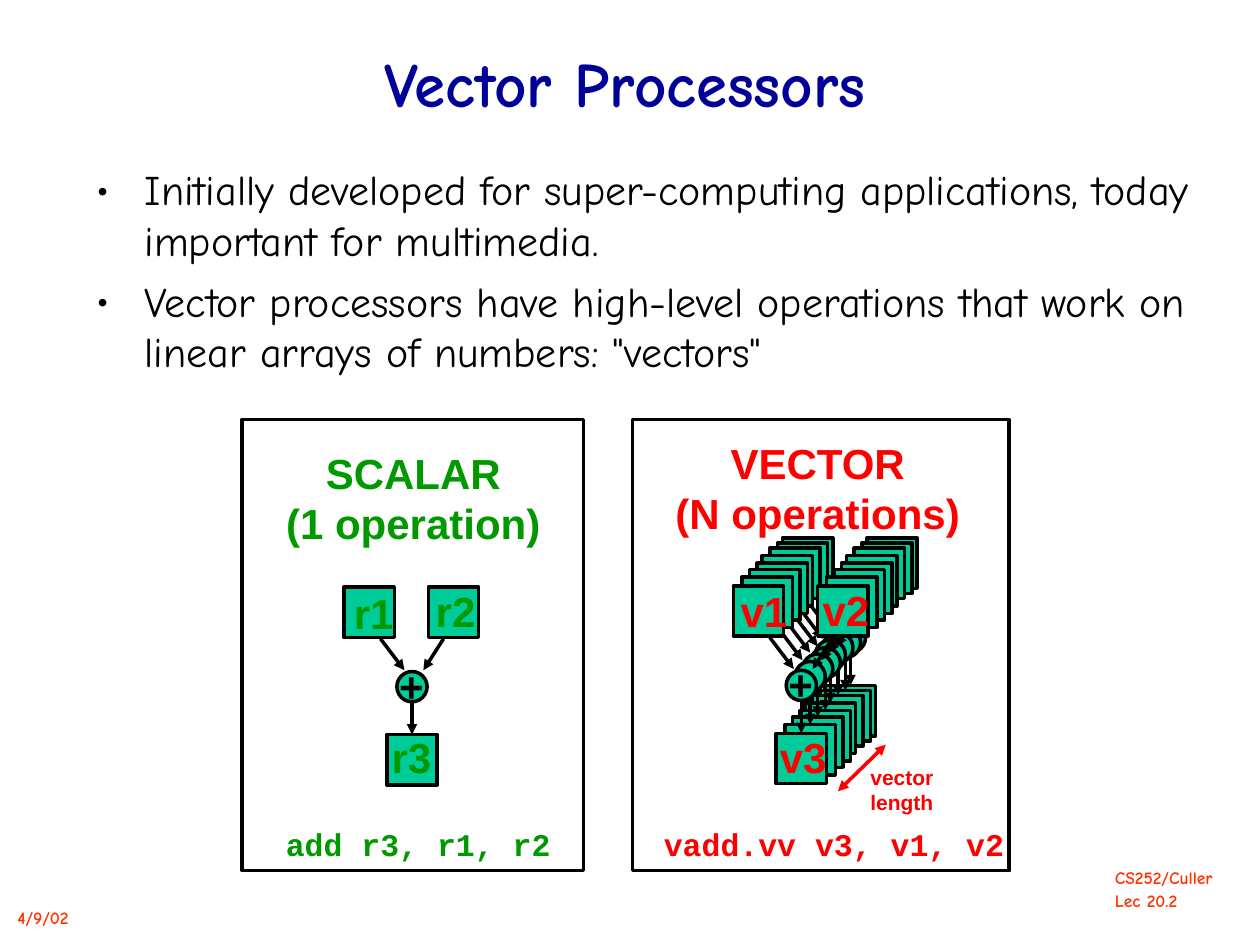
from dataclasses import dataclass, field
from typing import Any

from lxml import etree
from pptx import Presentation
from pptx import util as u
from pptx.dml.color import RGBColor
from pptx.enum import shapes, text
from pptx.oxml.ns import qn

PX = 9144
BLACK = RGBColor(0, 0, 0)
NAVY = RGBColor(0, 0, 0x99)
GREEN = RGBColor(0, 0x99, 0)
RED = RGBColor(0xFF, 0, 0)
RUST = RGBColor(0xFF, 0x33, 0)
TEAL = RGBColor(0, 0xCC, 0x99)
RECT = shapes.MSO_SHAPE.RECTANGLE
OVAL = shapes.MSO_SHAPE.OVAL
COMIC, SANS, CODE = "Comic Neue", "Arial", "Courier New"
STACK = ((39, 38), (35, 34), (29, 30), (23, 24), (19, 18), (13, 13), (7, 7), (0, 0))
CELLS = ((-42, -67), (25, -67), (-8, 50))
FEEDS = ((-13, -26, 6, -1), (37, -26, 21, -1))


@dataclass
class Label:
    box: tuple[int, int, int, int]
    lines: tuple[str, ...]
    color: RGBColor
    size: int = 24
    face: str = SANS
    bold: bool = True
    wrap: bool = False
    fit: bool = True
    base: bool = False
    bullet: bool = False
    para: dict[str, Any] = field(default_factory=dict)


@dataclass
class Panel:
    frame: tuple[int, int, int, int]
    hub: tuple[int, int]
    stack: tuple[tuple[int, int], ...]
    labels: tuple[Label, ...]


MID = {"alignment": text.PP_ALIGN.CENTER}
TEXTS = (
    Label((875, 683, 125, 44), ("CS252/Culler", "Lec 20.2"), RUST, 10, COMIC, wrap=True,
          para={"space_before": u.Pt(6.2), "line_spacing": 0.5}),
    Label((4, 715, 66, 27), ("4/9/02",), RUST, 10, COMIC),
    Label((67, 25, 858, 75), ("Vector Processors",), NAVY, 36, COMIC,
          wrap=True, fit=False, base=True, para=MID),
    Label((67, 125, 908, 558),
          ("Initially developed for super-computing applications, today important for multimedia.",
           'Vector processors have high-level operations that work on linear arrays of numbers: "vectors"'),
          BLACK, 24, COMIC, bold=False, wrap=True, fit=False, bullet=True,
          para={"space_before": u.Pt(6)}),
)
SCALAR = Panel((192, 333, 271, 358), (315, 533), ((0, 0),), (
    Label((307, 519, 40, 50), ("+",), BLACK),
    Label((271, 461, 54, 50), ("r1",), GREEN),
    Label((336, 460, 54, 50), ("r2",), GREEN),
    Label((301, 576, 54, 50), ("r3",), GREEN),
    Label((217, 650, 232, 40), ("add r3, r1, r2",), GREEN, 18, CODE),
    Label((217, 350, 222, 90), ("SCALAR", "(1 operation)"), GREEN, para=MID),
))
VECTOR = Panel((502, 333, 299, 358), (624, 532), STACK, (
    Label((578, 460, 58, 50), ("v1",), RED),
    Label((643, 459, 58, 50), ("v2",), RED),
    Label((609, 576, 58, 50), ("v3",), RED),
    Label((616, 518, 40, 50), ("+",), BLACK),
    Label((681, 602, 70, 50), ("vector", "length"), RED, 12, wrap=True),
    Label((517, 650, 292, 40), ("vadd.vv v3, v1, v2",), RED, 18, CODE),
    Label((526, 342, 246, 90), ("VECTOR", "(N operations)"), RED, para=MID),
))


def emu(*vals: int) -> list[int]:
    return [v * PX for v in vals]


def assign(obj: Any, vals: dict[str, Any]) -> None:
    for key, val in vals.items():
        setattr(obj, key, val)


def mark(par: Any, face: str) -> None:
    props = par._p.get_or_add_pPr()
    props.set("marL", str(38 * PX))
    props.set("indent", str(-38 * PX))
    tint = etree.SubElement(props, qn("a:buClr"))
    etree.SubElement(tint, qn("a:srgbClr"), val=str(BLACK))
    etree.SubElement(props, qn("a:buFont"), typeface=face)
    etree.SubElement(props, qn("a:buChar"), char="•")


def write(pool: Any, item: Label) -> None:
    frame = pool.add_textbox(*emu(*item.box)).text_frame
    fit = text.MSO_AUTO_SIZE
    anchor = text.MSO_ANCHOR
    assign(frame, {
        "word_wrap": item.wrap,
        "auto_size": fit.SHAPE_TO_FIT_TEXT if item.fit else fit.NONE,
        "vertical_anchor": anchor.BOTTOM if item.base else anchor.TOP,
    })
    for num, line in enumerate(item.lines):
        par = frame.add_paragraph() if num else frame.paragraphs[0]
        if item.bullet:
            mark(par, item.face)
        if num or item.para is MID:
            assign(par, item.para)
        run = par.add_run()
        run.text = line
        assign(run.font, {"name": item.face, "size": u.Pt(item.size), "bold": item.bold})
        run.font.color.rgb = item.color


def block(pool: Any, kind: Any, box: tuple[int, ...], fill: RGBColor | None = TEAL) -> Any:
    shape = pool.add_shape(kind, *emu(*box))
    shape.shadow.inherit = False
    if fill is None:
        shape.fill.background()
    else:
        shape.fill.solid()
        shape.fill.fore_color.rgb = fill
    shape.line.color.rgb = BLACK
    shape.line.width = u.Pt(2)
    return shape


def arrow(pool: Any, ends: tuple[int, ...], color: RGBColor = BLACK, both: bool = False) -> Any:
    link = pool.add_connector(shapes.MSO_CONNECTOR.STRAIGHT, *emu(*ends))
    link.line.color.rgb = color
    link.line.width = u.Pt(2)
    line = link.line._get_or_add_ln()
    for tip in ("a:headEnd", "a:tailEnd") if both else ("a:tailEnd",):
        etree.SubElement(line, qn(tip), type="triangle")
    etree.SubElement(link._element.spPr, qn("a:effectLst"))
    return link


def adder(pool: Any, x: int, y: int) -> None:
    block(pool, OVAL, (x, y, 24, 24))
    cells = [block(pool, RECT, (x + dx, y + dy, 40, 40)) for dx, dy in CELLS]
    for ax, ay, bx, by in FEEDS:
        arrow(pool, (x + ax, y + ay, x + bx, y + by))
    out = arrow(pool, (x + 12, y + 24, x + 12, y + 50))
    out.end_connect(cells[-1], 0)


def draw(pool: Any, panel: Panel) -> None:
    block(pool, RECT, panel.frame, None)
    x, y = panel.hub
    for dx, dy in panel.stack:
        adder(pool, x + dx, y - dy)
    for item in panel.labels:
        write(pool, item)


def main() -> None:
    deck = Presentation()
    deck.slide_width, deck.slide_height = emu(1000, 750)
    pool = deck.slides.add_slide(deck.slide_layouts[6]).shapes
    for item in TEXTS:
        write(pool, item)
    for panel in (SCALAR, VECTOR):
        group = pool.add_group_shape().shapes
        draw(group, panel)
    arrow(group, (703, 591, 665, 628), RED, True)
    deck.save("out.pptx")


if __name__ == "__main__":
    main()
